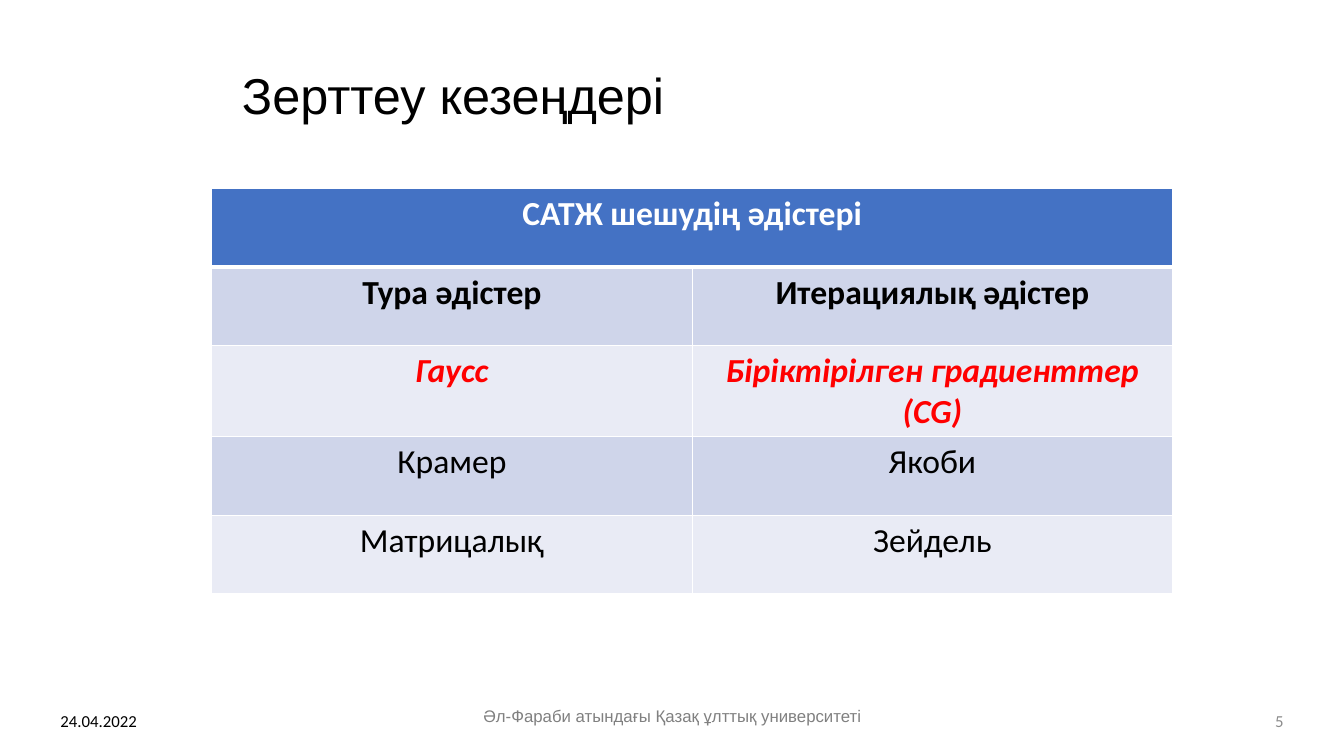
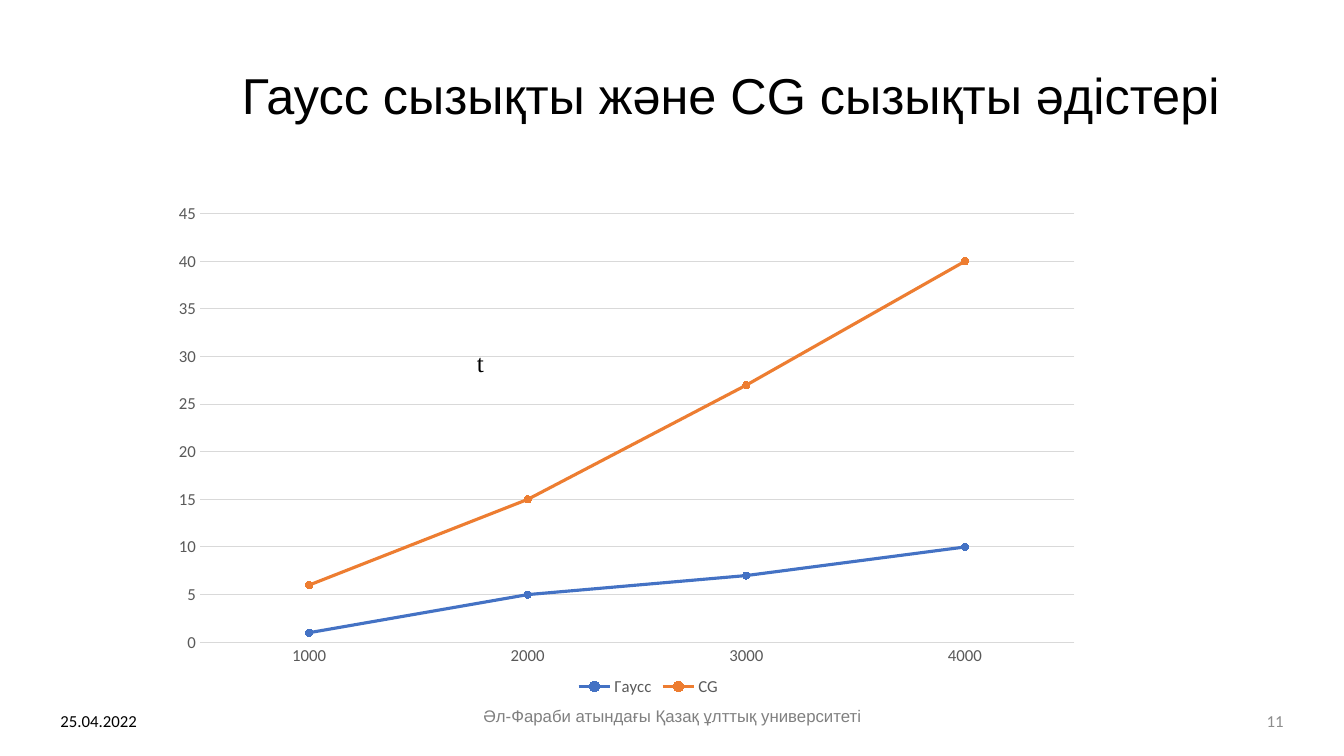
from lxml import etree
from pptx import Presentation
from pptx import util as u
from pptx.chart.data import CategoryChartData
from pptx.dml.color import RGBColor
from pptx.enum import chart as charts, text
from pptx.oxml import ns

COLORS = {
    "black": "000000", "white": "FFFFFF", "red": "FF0000",
    "blue": "4472C4", "orange": "ED7D31",
    "band": "CFD5EA", "pale": "E9EBF5",
    "footer": "808080", "number": "8C8C8C", "label": "595959", "grid": "D9D9D9",
}
UNIVERSITY = "Әл-Фараби атындағы Қазақ ұлттық университеті"
MIDDLE = text.MSO_ANCHOR.MIDDLE
LEFT, CENTER, RIGHT = text.PP_ALIGN.LEFT, text.PP_ALIGN.CENTER, text.PP_ALIGN.RIGHT


def rgb(name):
    """Return the palette colour with this name."""
    return RGBColor.from_string(COLORS[name])


def style_font(font, size, color, face="Calibri", bold=False, italic=False):
    """Set face, size, colour and emphasis of a font."""
    font.name, font.size = face, u.Pt(size)
    font.bold, font.italic = bold, italic
    font.color.rgb = rgb(color)


def add_label(slide, wording, box, size, color, face="Calibri", align=LEFT,
              anchor=text.MSO_ANCHOR.TOP):
    """Add a one-paragraph text box and return its paragraph."""
    frame = slide.shapes.add_textbox(*map(u.Inches, box)).text_frame
    frame.word_wrap = True
    frame.vertical_anchor = anchor
    paragraph = frame.paragraphs[0]
    paragraph.text, paragraph.alignment = wording, align
    style_font(paragraph.font, size, color, face)
    return paragraph


def add_titled_slide(deck, heading, date, number):
    """Add a slide with its title, date, university and number."""
    slide = deck.slides.add_slide(deck.slide_layouts[5])
    title = slide.shapes.title
    title.left, title.top, title.width, title.height = map(
        u.Inches, (2.3, 0.4, 10.52, 1.14))
    title.text_frame.text = heading
    title.text_frame.vertical_anchor = MIDDLE
    title.text_frame.auto_size = text.MSO_AUTO_SIZE.NONE
    paragraph = title.text_frame.paragraphs[0]
    paragraph.alignment, paragraph.line_spacing = LEFT, 0.9
    style_font(paragraph.font, 36, "black", "Arial")
    add_label(slide, date, (0.5, 6.95, 2.98, 0.4), 12, "black", anchor=MIDDLE)
    add_label(slide, UNIVERSITY, (4.42, 6.95, 4.5, 0.4), 12, "footer", "Arial", CENTER)
    add_label(slide, number, (9.85, 6.95, 2.98, 0.4), 12, "number",
              align=RIGHT, anchor=MIDDLE)
    return slide


def add_borders(cell, top, bottom):
    """Draw white borders around a cell, with widths in points."""
    properties = cell._tc.get_or_add_tcPr()
    for side, width in (("L", 1), ("R", 1), ("T", top), ("B", bottom)):
        line = etree.SubElement(properties, ns.qn(f"a:ln{side}"), w=str(u.Pt(width)))
        fill = etree.SubElement(line, ns.qn("a:solidFill"))
        etree.SubElement(fill, ns.qn("a:srgbClr"), val=COLORS["white"])


def add_methods_table(slide, rows):
    """Add the table of methods under a merged heading row."""
    row_height = u.Inches(0.78)
    table = slide.shapes.add_table(
        len(rows), 2, u.Inches(2.1), u.Inches(1.87), u.Inches(9.53),
        row_height * len(rows)).table
    for row_index, (methods, fill, look) in enumerate(rows):
        table.rows[row_index].height = row_height
        for column, method in enumerate(methods):
            cell = table.cell(row_index, column)
            add_borders(cell, 3 if row_index == 1 else 1, 3 if row_index == 0 else 1)
            cell.fill.solid()
            cell.fill.fore_color.rgb = rgb(fill)
            cell.text = method
            paragraph = cell.text_frame.paragraphs[0]
            paragraph.alignment = CENTER
            style_font(paragraph.font, 24, **look)
    table.cell(0, 0).merge(table.cell(0, 1))


def set_plot_area(chart, **fractions):
    """Fix the inner plot area as fractions of the chart."""
    area = chart._chartSpace.chart.plotArea
    for old in area.findall(ns.qn("c:layout")):
        area.remove(old)
    layout = etree.Element(ns.qn("c:layout"))
    area.insert(0, layout)
    manual = etree.SubElement(layout, ns.qn("c:manualLayout"))
    settings = {"layoutTarget": "inner", "xMode": "edge", "yMode": "edge", **fractions}
    for tag, value in settings.items():
        etree.SubElement(manual, ns.qn(f"c:{tag}"), val=str(value))


def style_line(line, color, width):
    """Set colour and width of a line."""
    line.color.rgb = rgb(color)
    line.width = u.Pt(width)


def add_time_chart(slide, sizes, timings):
    """Add the stacked line chart of the two methods."""
    data = CategoryChartData()
    data.categories = sizes
    for method, values, _ in timings:
        data.add_series(method, values)
    chart = slide.shapes.add_chart(
        charts.XL_CHART_TYPE.LINE_MARKERS_STACKED,
        *map(u.Inches, (0.87, 1.7, 11.12, 5.25)), data).chart
    chart.has_title = False
    style_font(chart.font, 10, "black")
    chart.has_legend = True
    chart.legend.position = charts.XL_LEGEND_POSITION.BOTTOM
    chart.legend.include_in_layout = False
    style_font(chart.legend.font, 12, "label")
    for axis in (chart.category_axis, chart.value_axis):
        axis.major_tick_mark = axis.minor_tick_mark = charts.XL_TICK_MARK.NONE
        style_font(axis.tick_labels.font, 12, "label")
    style_line(chart.category_axis.format.line, "grid", 0.75)
    scale = chart.value_axis
    scale.minimum_scale, scale.maximum_scale, scale.major_unit = 0, 45, 5
    scale.format.line.fill.background()
    style_line(scale.major_gridlines.format.line, "grid", 0.75)
    chart.plots[0].vary_by_categories = False
    for series, (_, _, color) in zip(chart.plots[0].series, timings):
        series.smooth = False
        style_line(series.format.line, color, 2.25)
        marker = series.marker
        marker.style, marker.size = charts.XL_MARKER_STYLE.CIRCLE, 5
        marker.format.fill.solid()
        marker.format.fill.fore_color.rgb = rgb(color)
        marker.format.line.color.rgb = rgb(color)
    set_plot_area(chart, x=0.1, y=0.08, w=0.78, h=0.81)


def main():
    """Build and save the two slides."""
    deck = Presentation()
    deck.slide_width, deck.slide_height = u.Inches(13.33), u.Inches(7.5)

    stages = add_titled_slide(deck, "Зерттеу кезеңдері", "24.04.2022", "5")
    plain = {"color": "black"}
    add_methods_table(stages, [
        (("САТЖ шешудің әдістері", ""), "blue", {"color": "white", "bold": True}),
        (("Тура әдістер", "Итерациялық әдістер"), "band", {"color": "black", "bold": True}),
        (("Гаусс", "Біріктірілген градиенттер (CG)"), "pale",
         {"color": "red", "bold": True, "italic": True}),
        (("Крамер", "Якоби"), "band", plain),
        (("Матрицалық", "Зейдель"), "pale", plain),
    ])

    comparison = add_titled_slide(
        deck, "Гаусс сызықты және CG сызықты әдістері", "25.04.2022", "11")
    add_time_chart(comparison, ["1000", "2000", "3000", "4000"], [
        ("Гаусс", (1, 5, 7, 10), "blue"),
        ("CG", (5, 10, 20, 30), "orange"),
    ])
    time_label = add_label(comparison, "t", (4.14, 3.38, 0.52, 0.43), 18, "black",
                           "Times New Roman", text.PP_ALIGN.JUSTIFY)
    time_label.line_spacing = 1.07
    time_label._p.get_or_add_pPr().set("indent", str(u.Inches(0.49)))

    deck.save("out.pptx")


main()
